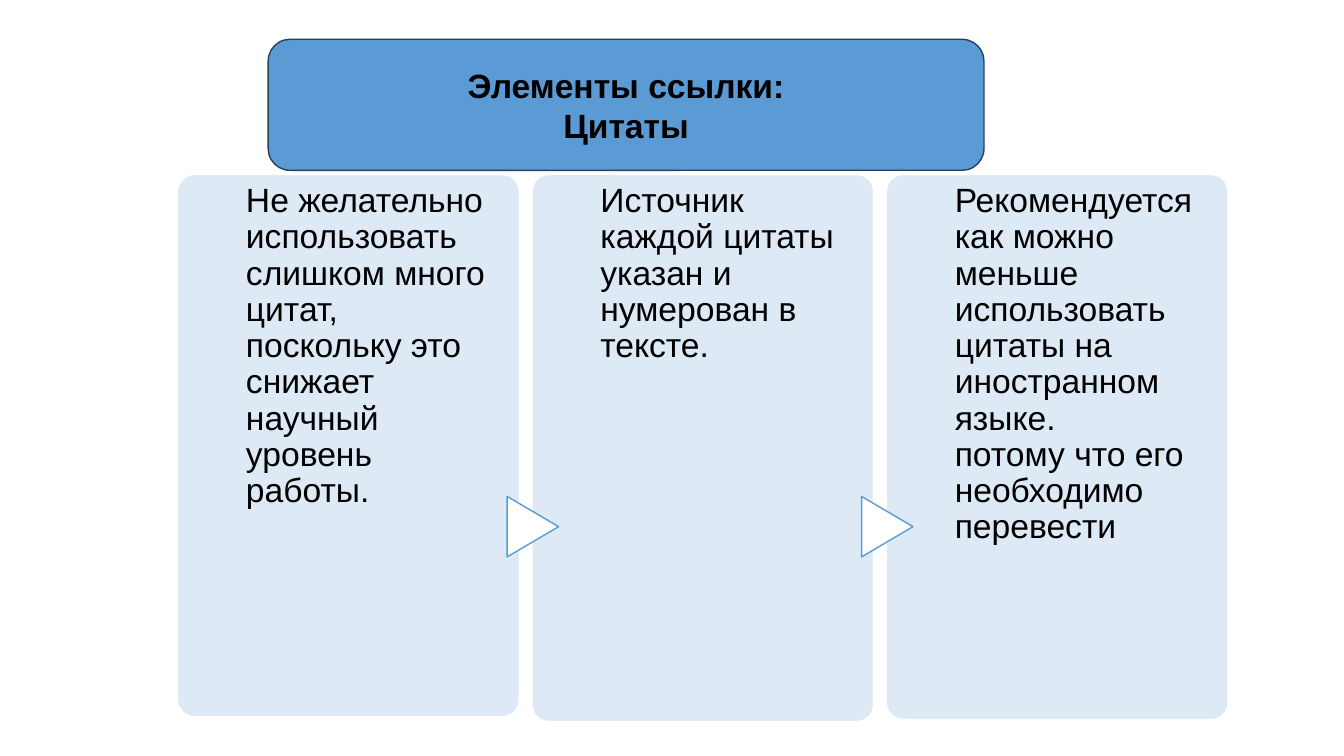
from pptx import Presentation
from pptx.dml.color import RGBColor
from pptx.enum.shapes import MSO_SHAPE
from pptx.enum.text import MSO_ANCHOR, PP_ALIGN
from pptx.util import Inches, Pt

ROUNDED, TRIANGLE = MSO_SHAPE.ROUNDED_RECTANGLE, MSO_SHAPE.FLOWCHART_EXTRACT
MIDDLE, TOP = MSO_ANCHOR.MIDDLE, MSO_ANCHOR.TOP
CENTER, LEFT = PP_ALIGN.CENTER, PP_ALIGN.LEFT
BLACK = RGBColor(0x00, 0x00, 0x00)
WHITE = RGBColor(0xFF, 0xFF, 0xFF)
BLUE = RGBColor(0x5B, 0x9B, 0xD5)
NAVY = RGBColor(0x26, 0x41, 0x59)
PALE = RGBColor(0xDD, 0xEA, 0xF6)
ARROW_LINE = RGBColor(0x59, 0x9B, 0xD5)

CARD_LEFT, CARD_TOP, CARD_WIDTH, CARD_STEP = 1.76, 1.73, 3.39, 3.515
TEXT_INDENT, TEXT_WIDTH = 0.68, 2.53
ARROW_WIDTH, ARROW_HEIGHT, ARROW_TOP = 0.6, 0.51, 4.97
CARDS = [
    (5.38, ["Не желательно использовать слишком много цитат, "
            "поскольку это снижает научный уровень работы."]),
    (5.43, ["Источник каждой цитаты указан и нумерован в тексте."]),
    (5.41, ["Рекомендуется как можно меньше использовать цитаты "
            "на иностранном языке.",
            "потому что его необходимо перевести"]),
]

prs = Presentation()
prs.slide_width, prs.slide_height = Inches(13.33), Inches(7.5)
slide = prs.slides.add_slide(prs.slide_layouts[6])


def add_box(kind, left, top, width, height, fill, line):
    sp = slide.shapes.add_shape(
        kind, Inches(left), Inches(top), Inches(width), Inches(height))
    sp.shadow.inherit = False
    sp.fill.solid()
    sp.fill.fore_color.rgb = fill
    sp.line.color.rgb = line
    sp.line.width = Pt(1)
    return sp


def write(sp, lines, align, anchor, bold=False, spacing=1.0):
    """Fill a shape with one paragraph per line."""
    tf = sp.text_frame
    tf.word_wrap = True
    tf.vertical_anchor = anchor
    for i, line in enumerate(lines):
        p = tf.paragraphs[0] if i == 0 else tf.add_paragraph()
        p.text = line
        p.alignment = align
        p.line_spacing = spacing
        p.font.name = "Arial"
        p.font.size = Pt(24)
        p.font.bold = bold
        p.font.color.rgb = BLACK


title = add_box(ROUNDED, 2.66, 0.39, 7.1, 1.3, BLUE, NAVY)
write(title, ["Элементы ссылки:", "Цитаты"], CENTER, MIDDLE, bold=True)

for col, (height, lines) in enumerate(CARDS):
    left = CARD_LEFT + col * CARD_STEP
    card = add_box(ROUNDED, left, CARD_TOP, CARD_WIDTH, height, PALE, WHITE)
    card.adjustments[0] = 0.05

    if col > 0:
        arrow = add_box(TRIANGLE, left - 0.29, ARROW_TOP,
                        ARROW_WIDTH, ARROW_HEIGHT, WHITE, ARROW_LINE)
        arrow.rotation = 90

    box = slide.shapes.add_textbox(
        Inches(left + TEXT_INDENT), Inches(CARD_TOP),
        Inches(TEXT_WIDTH), Inches(height))
    tf = box.text_frame
    tf.margin_left = tf.margin_right = tf.margin_bottom = 0
    tf.margin_top = Inches(0.09)
    write(box, lines, LEFT, TOP, spacing=0.9)

prs.save("out.pptx")
